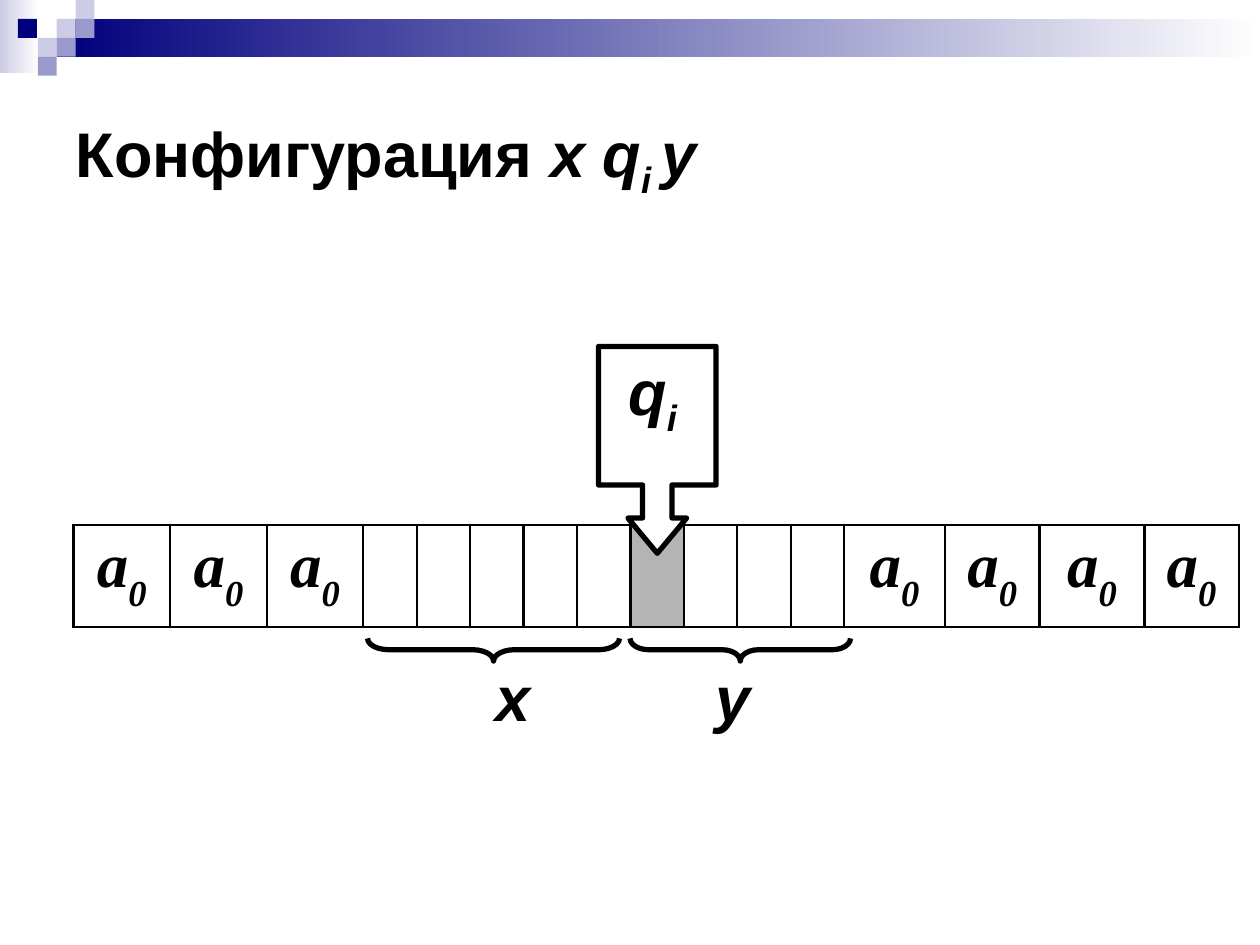
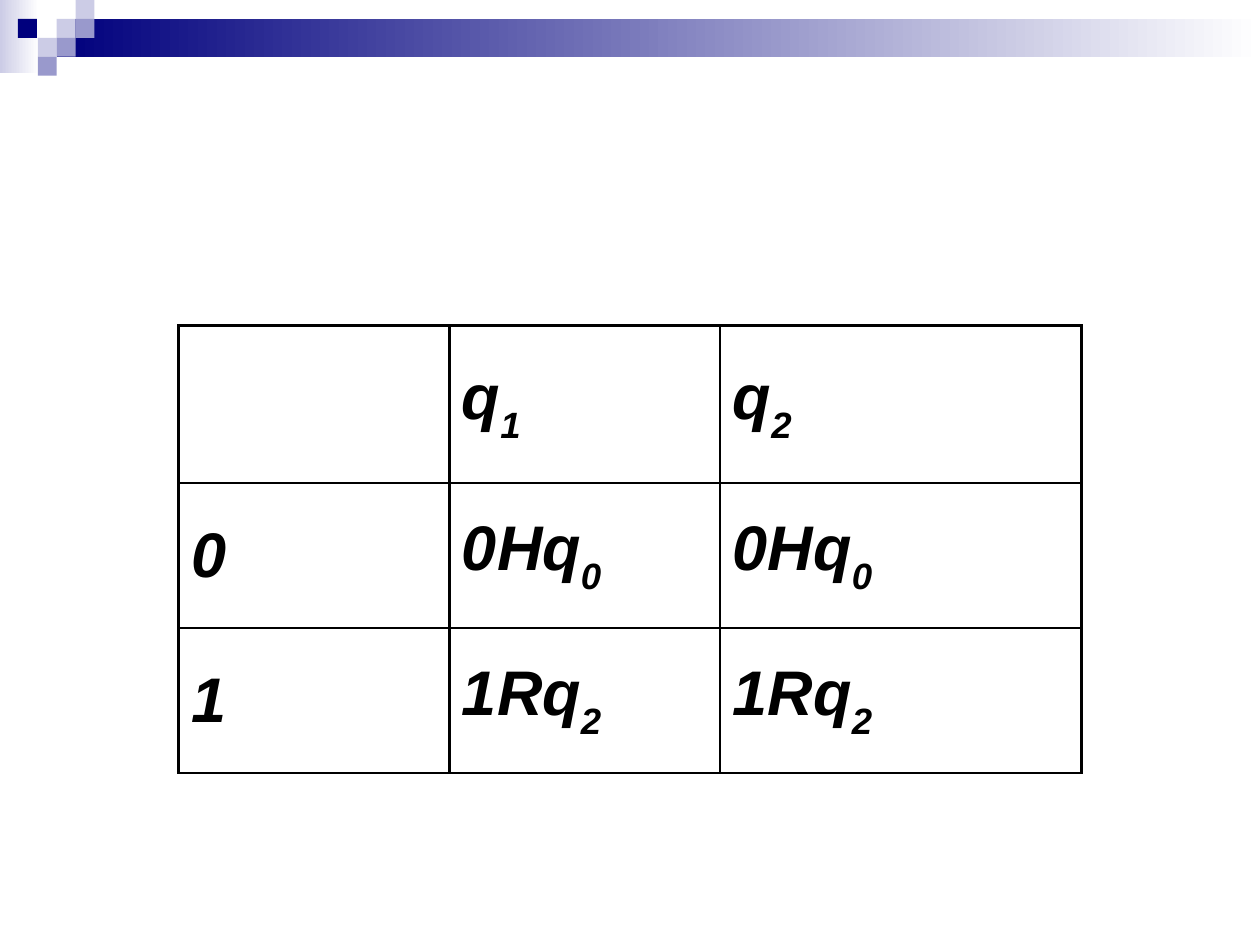
from dataclasses import dataclass

from lxml import etree
from pptx import Presentation
from pptx.dml.color import RGBColor
from pptx.enum.shapes import MSO_SHAPE as Preset
from pptx.enum.text import MSO_ANCHOR as Anchor, PP_ALIGN as Align
from pptx.oxml.ns import qn
from pptx.util import Inches, Pt

COLUMNS, ROWS = 120, 90
UNIT = Inches(10) / COLUMNS
TILE = 1.8
BLACK, WHITE, NAVY = "000000", "FFFFFF", "00007D"
LILAC, VIOLET, GREY = "CCCCE6", "9999CC", "B4B4B4"


@dataclass
class Box:
    """A region measured in columns and rows of the slide grid."""
    left: float
    top: float
    width: float
    height: float

    def inner(self, left, top, width, height):
        return Box(self.left + left, self.top + top, width, height)

    def frame(self):
        return [round(side * UNIT)
                for side in (self.left, self.top, self.width, self.height)]


PAGE = Box(0, 0, COLUMNS, ROWS)


def colour(code):
    return RGBColor.from_string(code)


def add_preset(shapes, kind, box, fill=None, line=None):
    shape = shapes.add_shape(kind, *box.frame())
    shape.shadow.inherit = False
    if fill:
        shape.fill.solid()
        shape.fill.fore_color.rgb = colour(fill)
    else:
        shape.fill.background()
    if line:
        shape.line.color.rgb = colour(line)
        shape.line.width = Pt(3)
    else:
        shape.line.fill.background()
    return shape


def add_fade(shapes, box, start):
    """Add a rectangle that fades from a colour to white, left to right."""
    fill = add_preset(shapes, Preset.RECTANGLE, box).fill
    fill.gradient()
    fill.gradient_angle = 0
    for stop, code, position in zip(fill.gradient_stops, (start, WHITE), (0, 1)):
        stop.color.rgb = colour(code)
        stop.position = position


def write(para, text, font="Arial", align=Align.LEFT, drop=-25):
    """Write bold italic text; every second piece between bars is a subscript."""
    para.alignment = align
    para.font.name = font
    para.font.size = Pt(36)
    para.font.bold = para.font.italic = True
    para.font.color.rgb = colour(BLACK)
    for index, piece in enumerate(text.split("|")):
        span = para.add_run()
        span.text = piece
        if index % 2:
            span.font._element.set("baseline", str(drop * 1000))


def draw_master_band(deck, page, box):
    """Draw the top band and tiles, then hand them to the slide master."""
    group = page.shapes.add_group_shape()
    add_fade(group.shapes, box.inner(0, 0, 3.7, 7), LILAC)
    add_fade(group.shapes,
             box.inner(3 * TILE, TILE, box.width - 3 * TILE, 2 * TILE), NAVY)
    tiles = {LILAC: [(3, 1), (4, 0), (2, 2)],
             VIOLET: [(4, 1), (3, 2), (2, 3)],
             NAVY: [(0.95, 1)]}
    for code, places in tiles.items():
        for column, row in places:
            tile = box.inner(column * TILE, row * TILE, TILE, TILE)
            add_preset(group.shapes, Preset.RECTANGLE, tile, code)
    deck.slide_master.shapes.element.insert(2, group.element)


def fill_title(page, box):
    title = page.shapes.title
    title.left, title.top, title.width, title.height = box.frame()
    frame = title.text_frame
    frame.vertical_anchor = Anchor.MIDDLE
    para = frame.paragraphs[0]
    upright = para.add_run()
    upright.text = "Конфигурация "
    upright.font.italic = False
    write(para, "x q|i |y")


def add_borders(cell):
    properties = cell._tc.get_or_add_tcPr()
    for side in ("a:lnL", "a:lnR", "a:lnT", "a:lnB"):
        line = etree.SubElement(properties, qn(side), w=str(Pt(1.47)))
        fill = etree.SubElement(line, qn("a:solidFill"))
        etree.SubElement(fill, qn("a:srgbClr"), val=BLACK)


def add_grid(page, box, widths, heights, texts, anchor=Anchor.TOP, **style):
    table = page.shapes.add_table(len(heights), len(widths), *box.frame()).table
    table.first_row = table.horz_banding = False
    for column, width in zip(table.columns, widths):
        column.width = round(width * UNIT)
    for row, height, row_texts in zip(table.rows, heights, texts):
        row.height = round(height * UNIT)
        for cell, text in zip(row.cells, row_texts):
            add_borders(cell)
            cell.fill.background()
            cell.vertical_anchor = anchor
            if text:
                write(cell.text_frame.paragraphs[0], text, drop=-30, **style)
    return table


def draw_head(page, box):
    head = add_preset(page.shapes, Preset.DOWN_ARROW_CALLOUT, box, WHITE, BLACK)
    for index, value in enumerate((0.25, 0.25, 0.3, 0.67)):
        head.adjustments[index] = value
    head.text_frame.vertical_anchor = Anchor.TOP
    write(head.text_frame.paragraphs[0], " q|i")


def draw_brace(page, box):
    """Draw a brace that opens upwards: a right brace turned a quarter."""
    shift = (box.width - box.height) / 2
    upright = box.inner(shift, -shift, box.height, box.width)
    brace = add_preset(page.shapes, Preset.RIGHT_BRACE, upright, line=BLACK)
    brace.rotation = 90
    brace.adjustments[0] = box.width / 12 / box.height


def draw_label(page, box, text):
    frame = page.shapes.add_textbox(*box.frame()).text_frame
    frame.word_wrap = True
    write(frame.paragraphs[0], text)


def draw_tape(page, box):
    first, last = [9.2] * 3, [9.6, 9, 10, 9]
    blanks, head_cell = 9, 8
    blank = (box.width - sum(first + last)) / blanks
    letters = ["a|0"] * len(first) + [""] * blanks + ["a|0"] * len(last)
    tape = add_grid(page, box.inner(0, 17, box.width, 9.72),
                    first + [blank] * blanks + last, [9.72], [letters],
                    font="Times New Roman", align=Align.CENTER)
    current = tape.cell(0, head_cell)
    current.fill.solid()
    current.fill.fore_color.rgb = colour(GREY)
    draw_head(page, box.inner(50, 0, 11.2, 19.7))
    for word, brace_left, width, label_left in (("x", 28, 24, 39),
                                                ("y", 53, 21, 60)):
        draw_brace(page, box.inner(brace_left, 27.8, width, 2.16))
        draw_label(page, box.inner(label_left, 29.1, 8.2, 7.4), word)


def draw_program(page, box):
    heights = [15, 13.8, 13.8]
    widths = [share * box.width for share in (0.3, 0.3, 0.4)]
    texts = [["", "q|1", "q|2"],
             ["0", "0Hq|0", "0Hq|0"],
             ["1", "1Rq|2", "1Rq|2"]]
    add_grid(page, box, widths, heights, texts, Anchor.MIDDLE,
             align=Align.JUSTIFY)


def main():
    deck = Presentation()
    deck.slide_width, deck.slide_height = Inches(10), Inches(7.5)
    title_only, blank = deck.slide_layouts[5], deck.slide_layouts[6]

    configuration = deck.slides.add_slide(title_only)
    draw_master_band(deck, configuration, PAGE)
    fill_title(configuration, PAGE.inner(6, 6, 108, 18))
    draw_tape(configuration, PAGE.inner(7, 33, 111, 36))

    program = deck.slides.add_slide(blank)
    draw_program(program, PAGE.inner(17, 31, 86, 42.6))

    deck.save("out.pptx")


if __name__ == "__main__":
    main()
